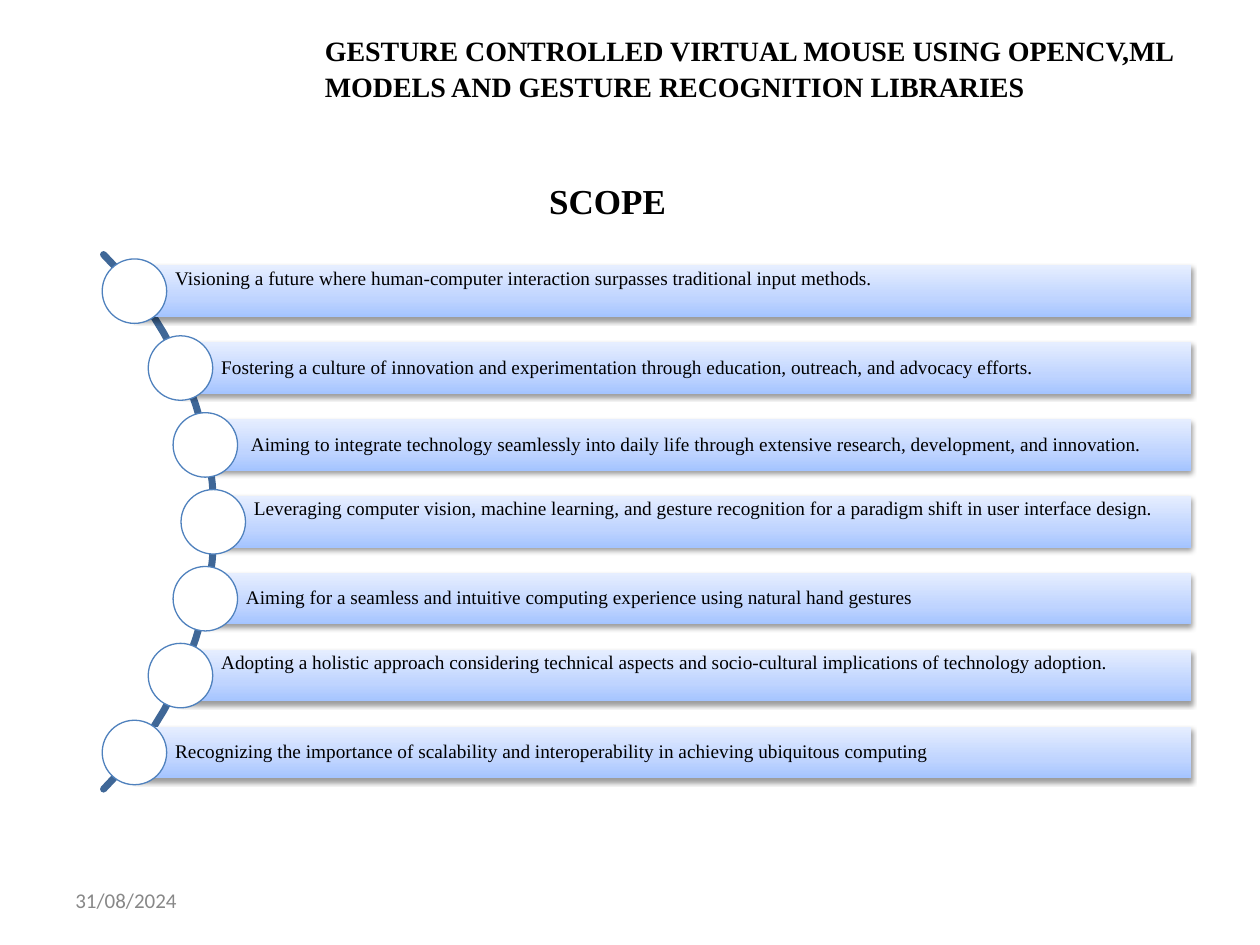
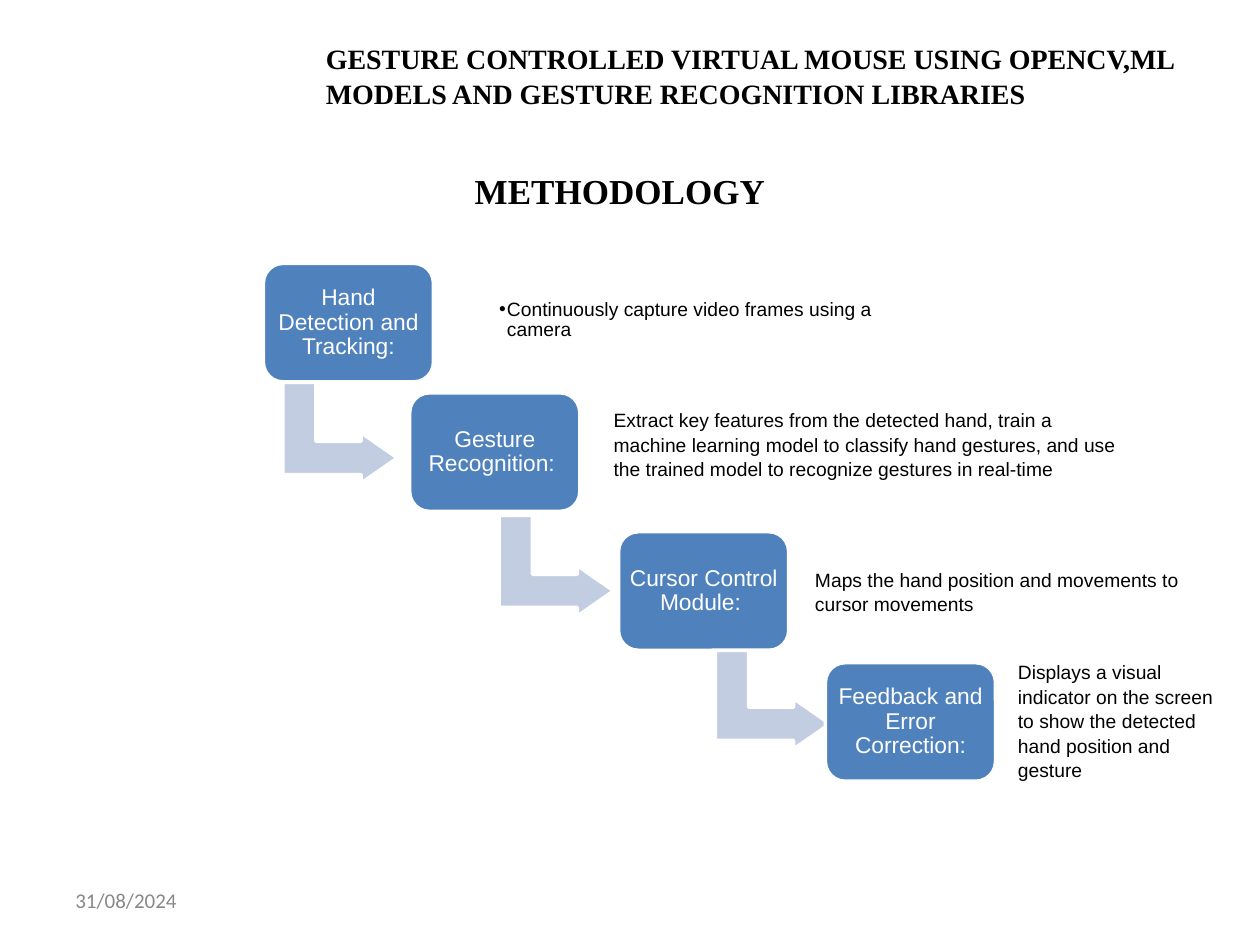
from copy import deepcopy
from dataclasses import dataclass
from math import cos, radians, sin, sqrt

from lxml.etree import SubElement
from pptx import Presentation
from pptx.dml.color import RGBColor
from pptx.enum.shapes import MSO_SHAPE
from pptx.enum.text import MSO_ANCHOR, MSO_AUTO_SIZE, PP_ALIGN
from pptx.oxml.ns import qn
from pptx.util import Cm, Pt


@dataclass(frozen=True)
class Theme:
    black: str = "000000"
    white: str = "FFFFFF"
    grey: str = "888888"
    blue: str = "4F81BD"
    arc: str = "3F6797"
    arrow: str = "C2CDE1"
    bar_stops: tuple = ((0, "A4C4FF"), (0.35, "BFD4FF"), (1, "E6EEFF"))
    serif: str = "Times New Roman"
    sans: str = "Arial"
    footer_font: str = "Calibri"
    title_size: int = 20
    header_size: int = 16
    step_size: int = 13
    footer_size: int = 12
    text_size: int = 11
    open_spacing: float = 1.06
    tight_spacing: float = 0.9


THEME = Theme()
HEADER = ("GESTURE CONTROLLED VIRTUAL MOUSE USING OPENCV,ML "
          "MODELS AND GESTURE RECOGNITION LIBRARIES")
DATE = "31/08/2024"


@dataclass(frozen=True)
class Box:
    """A rectangle in centimetres."""
    x: float
    y: float
    w: float
    h: float

    def lengths(self) -> tuple:
        return Cm(self.x), Cm(self.y), Cm(self.w), Cm(self.h)


@dataclass(frozen=True)
class Style:
    font: str
    size: int
    color: str = THEME.black
    bold: bool = False
    align: PP_ALIGN = PP_ALIGN.LEFT
    anchor: MSO_ANCHOR = MSO_ANCHOR.TOP
    spacing: float = THEME.open_spacing
    inset: tuple = (0.25, 0.13, 0.25, 0.13)  # left, top, right, bottom in cm


@dataclass(frozen=True)
class ScopeItem:
    text: str
    raised: bool = False
    indent: float = 0


@dataclass(frozen=True)
class Step:
    title: str
    x: float
    y: float


@dataclass(frozen=True)
class Note:
    text: str
    box: Box


TITLE = Style(THEME.serif, THEME.title_size, bold=True)
RUNNING_HEAD = Style(THEME.serif, THEME.header_size, bold=True)
FOOTER = Style(THEME.footer_font, THEME.footer_size, THEME.grey,
               anchor=MSO_ANCHOR.MIDDLE, spacing=1)
NOTE = Style(THEME.sans, THEME.text_size)
BULLET = Style(THEME.sans, THEME.text_size, anchor=MSO_ANCHOR.MIDDLE,
               spacing=THEME.tight_spacing, inset=(0.13,) * 4)
STEP = Style(THEME.sans, THEME.step_size, THEME.white, align=PP_ALIGN.CENTER,
             anchor=MSO_ANCHOR.MIDDLE, spacing=THEME.tight_spacing,
             inset=(0.1, 0.13, 0.1, 0.13))

SCOPE_ITEMS = (
    ScopeItem("Visioning a future where human-computer interaction surpasses "
              "traditional input methods.", raised=True),
    ScopeItem("Fostering a culture of innovation and experimentation through "
              "education, outreach, and advocacy efforts."),
    ScopeItem("Aiming to integrate technology seamlessly into daily life through "
              "extensive research, development, and innovation.", indent=0.1),
    ScopeItem("Leveraging computer vision, machine learning, and gesture recognition "
              "for a paradigm shift in user interface design.", raised=True),
    ScopeItem("Aiming for a seamless and intuitive computing experience using "
              "natural hand gestures"),
    ScopeItem("Adopting a holistic approach considering technical aspects and "
              "socio-cultural implications of technology adoption.", raised=True),
    ScopeItem("Recognizing the importance of scalability and interoperability in "
              "achieving ubiquitous computing"),
)
STEPS = (
    Step("Hand Detection and Tracking:", 5.31, 5.31),
    Step("Gesture Recognition: ", 8.26, 7.92),
    Step("Cursor Control Module: ", 12.47, 10.72),
    Step("Feedback and Error Correction:", 16.64, 13.36),
)
CAPTURE = Note("Continuously capture video frames using a camera",
               Box(9.93, 5.49, 8.84, 1.93))
NOTES = (
    Note("Extract key features from the detected hand, train a machine learning "
         "model to classify hand gestures, and use the trained model to recognize "
         "gestures in real-time", Box(12.12, 8.08, 10.82, 2.26)),
    Note("Maps the hand position and movements to cursor movements",
         Box(16.18, 11.3, 8.15, 1.19)),
    Note("Displays a visual indicator on the screen to show the detected hand "
         "position and gesture", Box(20.27, 13.16, 4.6, 2.62)),
)

# Scope arc: nodes sit on a circle whose centre lies left of the slide
ARC_X, ARC_Y, ARC_R = -3.3, 10.52, 7.62
NODE_R, NODE_SIZE = 7.6, 1.3
BAR_PITCH, BAR_HEIGHT, BAR_RIGHT = 1.55, 1.04, 24.02


def write(sp, text: str, style: Style):
    """Put one formatted paragraph in a shape and return it."""
    tf = sp.text_frame
    tf.word_wrap = True
    tf.auto_size = MSO_AUTO_SIZE.NONE
    tf.vertical_anchor = style.anchor
    (tf.margin_left, tf.margin_top,
     tf.margin_right, tf.margin_bottom) = map(Cm, style.inset)
    tf.text = text
    p = tf.paragraphs[0]
    p.alignment = style.align
    p.line_spacing = style.spacing
    p.space_before = p.space_after = Pt(0)
    p.font.name = style.font
    p.font.size = Pt(style.size)
    p.font.bold = style.bold
    p.font.color.rgb = RGBColor.from_string(style.color)
    return p


def add_text(s, text: str, box: Box, style: Style) -> None:
    write(s.shapes.add_textbox(*box.lengths()), text, style)


def place(sp, box: Box) -> None:
    sp.left, sp.top, sp.width, sp.height = box.lengths()


def add_solid(s, kind: MSO_SHAPE, box: Box, fill: str, line: str, width: float):
    sp = s.shapes.add_shape(kind, *box.lengths())
    sp.shadow.inherit = False
    sp.fill.solid()
    sp.fill.fore_color.rgb = RGBColor.from_string(fill)
    sp.line.color.rgb = RGBColor.from_string(line)
    sp.line.width = Pt(width)
    return sp


def add_slide(prs, layout: int, title: str, title_box: Box, header_box: Box):
    """Add a slide with its title, running head and date."""
    s = prs.slides.add_slide(prs.slide_layouts[layout])
    place(s.shapes.title, title_box)
    write(s.shapes.title, title, TITLE)
    add_text(s, HEADER, header_box, RUNNING_HEAD)
    add_text(s, DATE, Box(1.27, 17.65, 5.93, 1.01), FOOTER)
    return s


def add_arc(s) -> None:
    points = [(Cm(ARC_X + ARC_R * cos(radians(a))), Cm(ARC_Y + ARC_R * sin(radians(a))))
              for a in range(-45, 46, 3)]
    builder = s.shapes.build_freeform(*points[0])
    builder.add_line_segments(points[1:], close=False)
    sp = builder.convert_to_shape()
    sp.shadow.inherit = False
    sp.fill.background()
    sp.line.color.rgb = RGBColor.from_string(THEME.arc)
    sp.line.width = Pt(4)
    sp._element.spPr.find(qn("a:ln")).set("cap", "rnd")


def fill_gradient(sp) -> None:
    sp.fill.gradient()
    sp.fill.gradient_angle = 90
    stops = sp._element.spPr.find(".//" + qn("a:gsLst"))
    stops.insert(1, deepcopy(stops[0]))
    for stop, (position, color) in zip(sp.fill.gradient_stops, THEME.bar_stops):
        stop.position = position
        stop.color.rgb = RGBColor.from_string(color)


def drop_shadow(sp) -> None:
    sp.shadow.inherit = False
    effects = sp._element.spPr.find(qn("a:effectLst"))
    shadow = SubElement(effects, qn("a:outerShdw"), blurRad=str(Pt(3.1)),
                        dist=str(Pt(1.6)), dir="5400000", rotWithShape="0")
    color = SubElement(shadow, qn("a:srgbClr"), val=THEME.black)
    SubElement(color, qn("a:alpha"), val="38000")


def add_scope_item(s, item: ScopeItem, offset: float) -> None:
    """Draw a bar and its node, offset centimetres below the arc's centre."""
    x, y = ARC_X + sqrt(NODE_R ** 2 - offset ** 2), ARC_Y + offset
    bar = Box(x, y - BAR_HEIGHT / 2, BAR_RIGHT - x, BAR_HEIGHT)
    sp = s.shapes.add_shape(MSO_SHAPE.RECTANGLE, *bar.lengths())
    fill_gradient(sp)
    sp.line.fill.background()
    drop_shadow(sp)
    bottom = 0.56 if item.raised else 0.07
    write(sp, item.text, Style(THEME.serif, THEME.text_size, anchor=MSO_ANCHOR.MIDDLE,
                               spacing=THEME.tight_spacing,
                               inset=(0.82 + item.indent, 0.07, 0.07, bottom)))
    node = Box(x - NODE_SIZE / 2, y - NODE_SIZE / 2, NODE_SIZE, NODE_SIZE)
    add_solid(s, MSO_SHAPE.OVAL, node, THEME.white, THEME.blue, 0.75)


def add_step(s, step: Step) -> None:
    sp = add_solid(s, MSO_SHAPE.ROUNDED_RECTANGLE, Box(step.x, step.y, 3.43, 2.39),
                   THEME.blue, THEME.white, 2)
    write(sp, step.title, STEP)


def add_step_arrow(s, index: int) -> None:
    box = Box(5.84 + 4.36 * index, 7.57 + 2.68 * index, 2.03, 2.31)
    sp = add_solid(s, MSO_SHAPE.BENT_UP_ARROW, box, THEME.arrow, THEME.white, 2)
    sp.rotation = 90
    for i, value in enumerate((0.33, 0.25, 0.36)):
        sp.adjustments[i] = value


def add_bullet(p, indent: float) -> None:
    pPr = p._p.get_or_add_pPr()
    pPr.set("marL", str(Cm(indent)))
    pPr.set("indent", str(-Cm(indent)))
    bullet = pPr.makeelement(qn("a:buChar"), {"char": "•"})
    pPr.find(qn("a:defRPr")).addprevious(bullet)


def build_scope(prs) -> None:
    s = add_slide(prs, 5, "SCOPE", Box(10.82, 3.43, 6.58, 1.7),
                  Box(6.3, 0.51, 18.57, 1.63))
    add_arc(s)
    middle = (len(SCOPE_ITEMS) - 1) / 2
    for i, item in enumerate(SCOPE_ITEMS):
        add_scope_item(s, item, (i - middle) * BAR_PITCH)


def build_methodology(prs) -> None:
    s = add_slide(prs, 1, "METHODOLOGY", Box(9.32, 3.23, 7.29, 1.12),
                  Box(6.32, 0.66, 17.88, 1.63))
    body = s.placeholders[1]
    place(body, CAPTURE.box)
    add_bullet(write(body, CAPTURE.text, BULLET), 0.16)
    for i in range(len(STEPS) - 1):
        add_step_arrow(s, i)
    for step in STEPS:
        add_step(s, step)
    for note in NOTES:
        add_text(s, note.text, note.box, NOTE)


def main() -> None:
    prs = Presentation()
    prs.slide_width, prs.slide_height = Cm(25.4), Cm(19.05)
    build_scope(prs)
    build_methodology(prs)
    prs.save("out.pptx")


if __name__ == "__main__":
    main()
